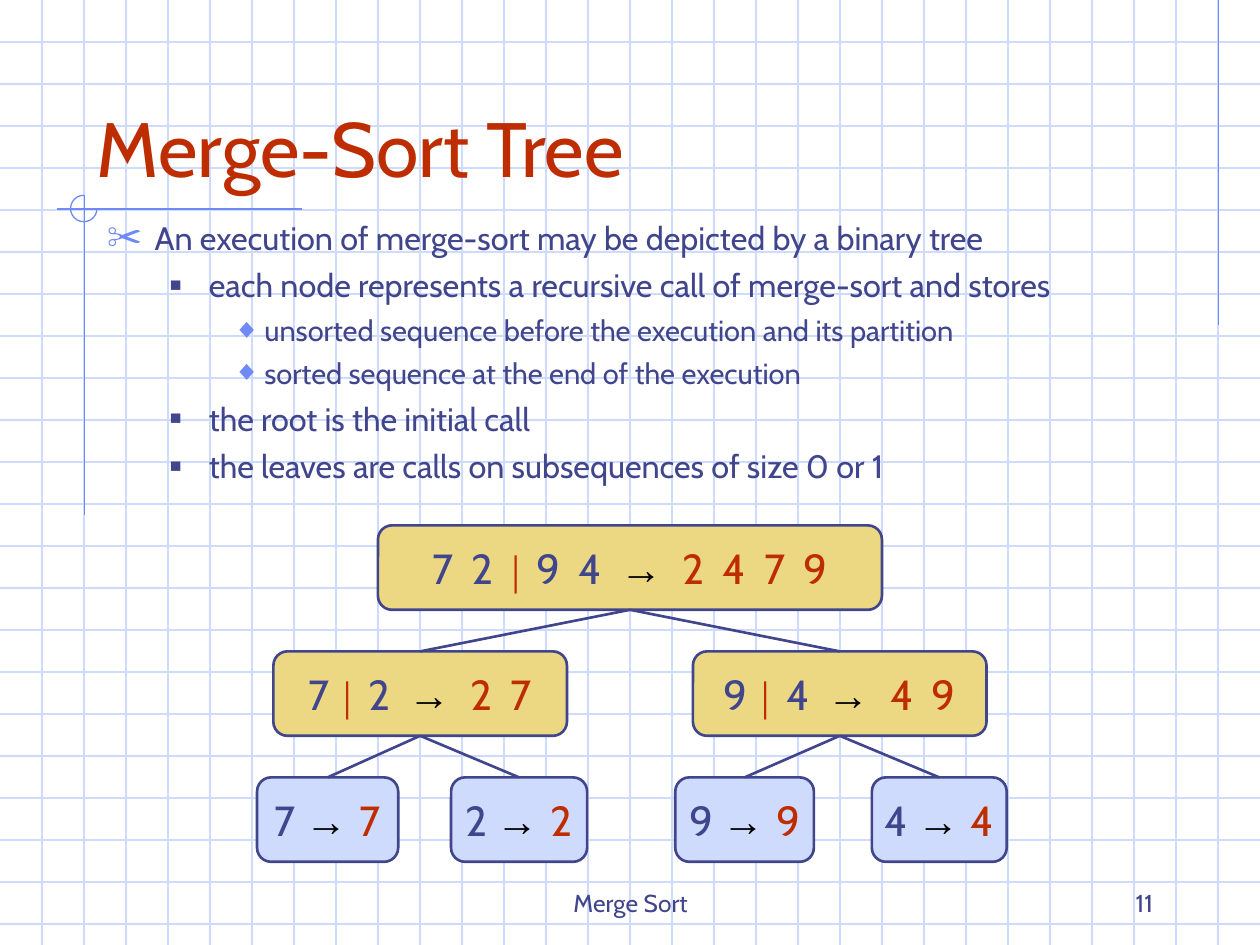
from lxml import etree
from pptx import Presentation
from pptx import util as u
from pptx.dml import color
from pptx.enum import shapes, text
from pptx.oxml import ns

COLORS = {
    "grid": "CFDBFD",
    "accent": "6F89F7",
    "ink": "40458C",
    "red": "BE2D00",
    "gold": "ECD882",
    "leaf": "CFDBFD",
    "black": "000000",
}
WIDTH, HEIGHT, GRID_STEP = 10, 7.5, 1 / 3
NODE_HEIGHT = 0.67
WIDE_GAP = 2.5

LEVELS = [
    {"margin": 0.38, "indent": -0.38, "before": 5, "size": 18.5, "bullet": "✂", "color": "accent", "scale": 110},
    {"margin": 0.81, "indent": -0.31, "before": 5, "size": 18.5, "bullet": "■", "color": "ink", "scale": 60},
    {"margin": 1.25, "indent": -0.25, "before": 4.5, "size": 16.6, "bullet": "◆", "color": "accent", "scale": 95},
]
OUTLINE = [
    (0, "An execution of merge-sort may be depicted by a binary tree"),
    (1, "each node represents a recursive call of merge-sort and stores"),
    (2, "unsorted sequence before the execution and its partition"),
    (2, "sorted sequence at the end of the execution"),
    (1, "the root is the initial call"),
    (1, "the leaves are calls on subsequences of size 0 or 1"),
]
NODES = {
    "root": (3, 4.17, 4, "7 2", "9 4", "2 4 7 9"),
    "left": (2.17, 5.17, 2.33, "7", "2", "2 7"),
    "right": (5.5, 5.17, 2.33, "9", "4", "4 9"),
    "leaf 7": (2.04, 6.17, 1.12, "7", "", "7"),
    "leaf 2": (3.58, 6.17, 1.08, "2", "", "2"),
    "leaf 9": (5.36, 6.17, 1.1, "9", "", "9"),
    "leaf 4": (6.92, 6.17, 1.07, "4", "", "4"),
}
CHILDREN = {
    "root": ["left", "right"],
    "left": ["leaf 7", "leaf 2"],
    "right": ["leaf 9", "leaf 4"],
}


def rgb(name):
    return color.RGBColor.from_string(COLORS[name])


def add_line(slide, start, end, color_name, width=0.75):
    points = [u.Inches(value) for value in (*start, *end)]
    connector = slide.shapes.add_connector(shapes.MSO_CONNECTOR.STRAIGHT, *points)
    connector.line.color.rgb = rgb(color_name)
    connector.line.width = u.Pt(width)
    etree.SubElement(connector._element.spPr, ns.qn("a:effectLst"))
    return connector


def add_shape(slide, kind, box, fill, line, width):
    shape = slide.shapes.add_shape(kind, *[u.Inches(value) for value in box])
    shape.shadow.inherit = False
    if fill:
        shape.fill.solid()
        shape.fill.fore_color.rgb = rgb(fill)
    else:
        shape.fill.background()
    shape.line.color.rgb = rgb(line)
    shape.line.width = u.Pt(width)
    return shape


def add_run(paragraph, words, size, color_name="ink", font="Cabin", bold=False, spacing=0):
    run = paragraph.add_run()
    run.text = words
    run.font.size = u.Pt(size)
    run.font.name = font
    run.font.bold = bold
    run.font.color.rgb = rgb(color_name)
    if spacing:
        run.font._element.set("spc", str(round(spacing * 100)))


def add_text_frame(slide, box, anchor):
    frame = slide.shapes.add_textbox(*[u.Inches(value) for value in box]).text_frame
    frame.word_wrap = True
    frame.vertical_anchor = anchor
    return frame


def add_label(slide, box, words, size, color_name, alignment):
    frame = add_text_frame(slide, box, text.MSO_ANCHOR.BOTTOM)
    paragraph = frame.paragraphs[0]
    paragraph.alignment = alignment
    add_run(paragraph, words, size, color_name)


def set_bullet(paragraph, level):
    properties = paragraph._p.get_or_add_pPr()
    properties.set("marL", str(u.Inches(level["margin"])))
    properties.set("indent", str(u.Inches(level["indent"])))
    bullet_color = etree.SubElement(properties, ns.qn("a:buClr"))
    etree.SubElement(bullet_color, ns.qn("a:srgbClr"), val=COLORS[level["color"]])
    etree.SubElement(properties, ns.qn("a:buSzPct"), val=str(level["scale"] * 1000))
    etree.SubElement(properties, ns.qn("a:buFont"), typeface="Arial")
    etree.SubElement(properties, ns.qn("a:buChar"), char=level["bullet"])


def add_outline(slide):
    frame = add_text_frame(slide, (0.75, 1.68, 8.83, 2.41), text.MSO_ANCHOR.TOP)
    for index, (depth, words) in enumerate(OUTLINE):
        paragraph = frame.add_paragraph() if index else frame.paragraphs[0]
        level = LEVELS[depth]
        paragraph.level = depth
        paragraph.space_before = u.Pt(level["before"])
        set_bullet(paragraph, level)
        add_run(paragraph, words, level["size"])


def add_background(slide):
    for row in range(1, 23):
        add_line(slide, (0, row * GRID_STEP), (WIDTH, row * GRID_STEP), "grid")
    for column in range(1, 30):
        add_line(slide, (column * GRID_STEP, 0), (column * GRID_STEP, HEIGHT), "grid")
    add_line(slide, (9.67, 0), (9.67, 2.58), "accent")
    add_line(slide, (2.4, 1.66), (0.45, 1.66), "accent")
    add_line(slide, (0.67, 1.55), (0.67, 4.09), "accent")
    arc = add_shape(slide, shapes.MSO_SHAPE.ARC, (0.56, 1.55, 0.21, 0.21), None, "accent", 0.75)
    arc.adjustments[0] = 0
    arc.adjustments[1] = 162


def add_node(slide, left, top, width, first, second, result):
    fill = "gold" if second else "leaf"
    box = (left, top, width, NODE_HEIGHT)
    shape = add_shape(slide, shapes.MSO_SHAPE.ROUNDED_RECTANGLE, box, fill, "ink", 1.5)
    frame = shape.text_frame
    frame.word_wrap = False
    frame.vertical_anchor = text.MSO_ANCHOR.MIDDLE
    paragraph = frame.paragraphs[0]
    paragraph.alignment = text.PP_ALIGN.CENTER
    gap = WIDE_GAP if second else 0
    add_run(paragraph, first, 24, spacing=gap if " " in first else 0)
    add_run(paragraph, " ", 24)
    if second:
        add_run(paragraph, "│", 18, "red", "Arial", True)
        add_run(paragraph, " ", 24)
        add_run(paragraph, f"{second} ", 24, spacing=gap)
    add_run(paragraph, "→ ", 24, "black", "Arial", True, gap)
    add_run(paragraph, result, 24, "red", spacing=gap)
    return shape


def add_tree(slide):
    nodes = {name: add_node(slide, *values) for name, values in NODES.items()}
    for parent, children in CHILDREN.items():
        for child in children:
            edge = add_line(slide, (0, 0), (1, 1), "ink", 1.5)
            edge.begin_connect(nodes[parent], 2)
            edge.end_connect(nodes[child], 0)


def main():
    presentation = Presentation()
    presentation.slide_width = u.Inches(WIDTH)
    presentation.slide_height = u.Inches(HEIGHT)
    slide = presentation.slides.add_slide(presentation.slide_layouts[6])
    add_background(slide)
    add_label(slide, (3.42, 6.83, 3.17, 0.5), "Merge Sort", 14, "ink", text.PP_ALIGN.CENTER)
    add_label(slide, (7.17, 6.83, 2.08, 0.5), "11", 14, "ink", text.PP_ALIGN.RIGHT)
    add_label(slide, (0.67, 0.33, 8.5, 1.25), "Merge-Sort Tree", 44, "red", text.PP_ALIGN.LEFT)
    add_outline(slide)
    add_tree(slide)
    presentation.save("out.pptx")


if __name__ == "__main__":
    main()
